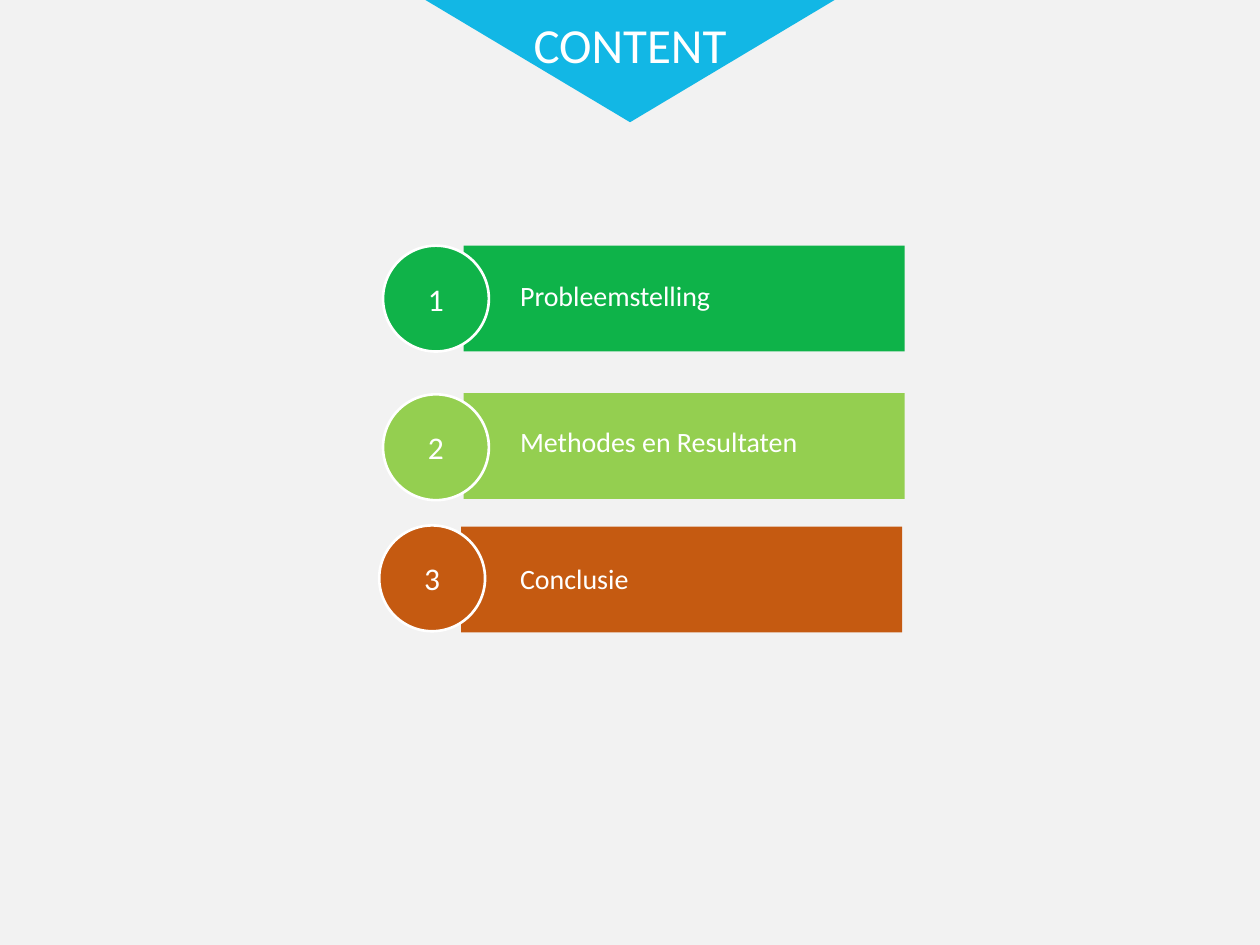
"""Build a contents slide with three numbered bars under a title triangle."""
import pptx
import pptx.dml.color
import pptx.enum.shapes
import pptx.enum.text
import pptx.util

Inches = pptx.util.Inches
MSO = pptx.enum.shapes.MSO_SHAPE
CENTER = pptx.enum.text.PP_ALIGN.CENTER


def paint(target, color):
    if hasattr(target, "solid"):
        target.solid()
        target = target.fore_color
    else:
        target = target.color
    target.rgb = pptx.dml.color.RGBColor.from_string(color)


def write(sp, text, size, align=None):
    tf = sp.text_frame
    tf.word_wrap = True
    p = tf.paragraphs[0]
    p.alignment = align
    r = p.add_run()
    r.text = text
    r.font.name = "Calibri"
    r.font.size = pptx.util.Pt(size)
    paint(r.font, "FFFFFF")


prs = pptx.Presentation()
prs.slide_width, prs.slide_height = Inches(10), Inches(7.5)
s = prs.slides.add_slide(prs.slide_layouts[6])
paint(s.background.fill, "F2F2F2")

sp = s.shapes.add_shape(MSO.ISOSCELES_TRIANGLE, Inches(3.36), Inches(-0.01), Inches(3.28), Inches(0.98))
sp.rotation = 180
sp.shadow.inherit = False
paint(sp.fill, "12B7E5")
sp.line.fill.background()

items = [
    ("Probleemstelling", "0EB349", "10B349", 3.68, 1.95, 3.04, 1.95, 2.16),
    ("Methodes en Resultaten", "94CF50", "94CF50", 3.68, 3.12, 3.04, 3.13, 3.32),
    ("Conclusie", "C55A11", "C55A11", 3.66, 4.18, 3.01, 4.17, 4.41),
]
for number, (label, bar_color, disc_color, bar_x, bar_y, disc_x, disc_y, label_y) in enumerate(items, 1):
    group = s.shapes.add_group_shape()
    bar = group.shapes.add_shape(MSO.RECTANGLE, Inches(bar_x), Inches(bar_y), Inches(3.5), Inches(0.84))
    bar.shadow.inherit = False
    paint(bar.fill, bar_color)
    bar.line.fill.background()

    disc = group.shapes.add_shape(MSO.OVAL, Inches(disc_x), Inches(disc_y), Inches(0.84), Inches(0.84))
    disc.shadow.inherit = False
    paint(disc.fill, disc_color)
    paint(disc.line, "FFFFFF")
    disc.line.width = pptx.util.Pt(1.5)
    disc.text_frame.vertical_anchor = pptx.enum.text.MSO_ANCHOR.MIDDLE
    write(disc, str(number), 18, CENTER)

    write(s.shapes.add_textbox(Inches(4.03), Inches(label_y), Inches(2.6), Inches(0.37)), label, 16)

write(s.shapes.add_textbox(Inches(4.08), Inches(0.07), Inches(1.84), Inches(0.57)), "CONTENT", 28, CENTER)

prs.save("out.pptx")
